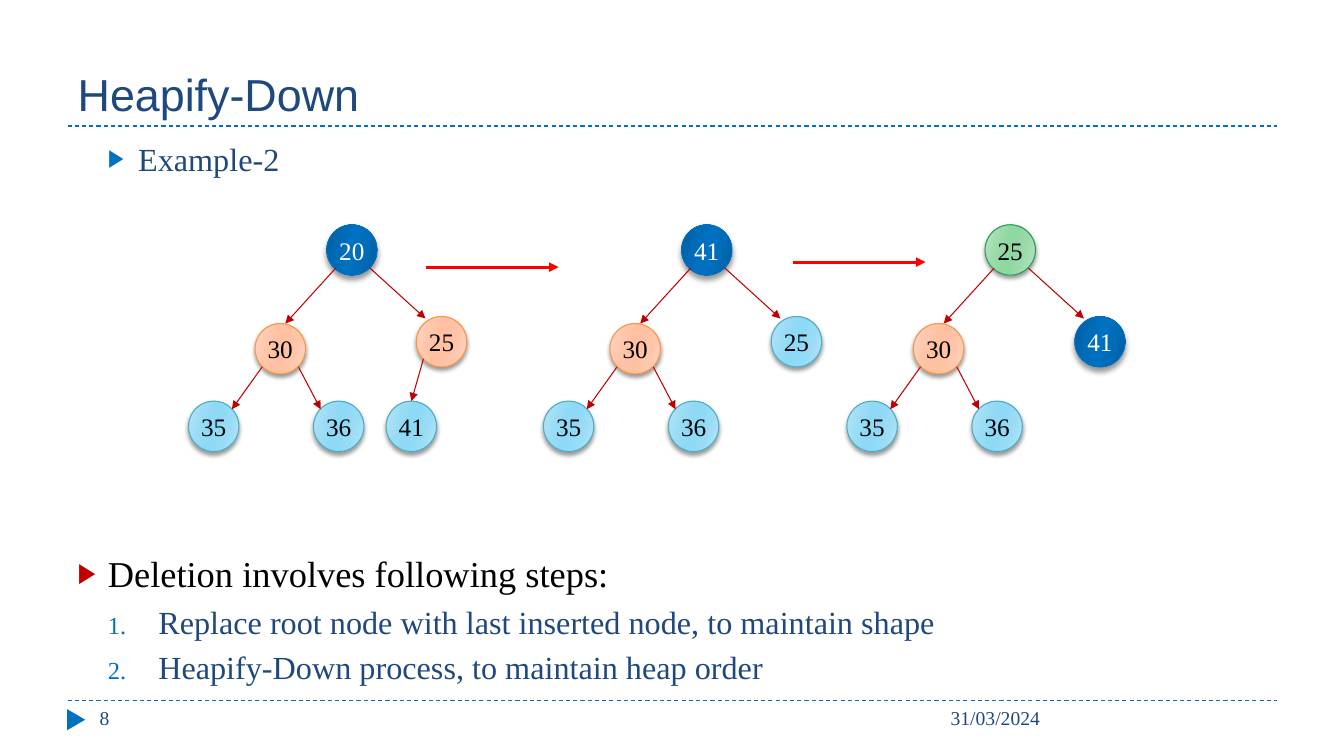
from lxml import etree
from pptx import Presentation
from pptx import util as u
from pptx.dml.color import RGBColor
from pptx.enum import dml, shapes, text
from pptx.oxml import parse_xml
from pptx.oxml.ns import nsdecls, qn

BLUE = RGBColor(0x00, 0x70, 0xC0)
NAVY = RGBColor(0x1F, 0x49, 0x7D)
DARK_RED = RGBColor(0xC0, 0x00, 0x00)
RED = RGBColor(0xFF, 0x00, 0x00)
BLACK = RGBColor(0x00, 0x00, 0x00)
WHITE = RGBColor(0xFF, 0xFF, 0xFF)
CYAN = RGBColor(0x4B, 0xAC, 0xC6)
ORANGE = RGBColor(0xF7, 0x96, 0x46)
GREEN = RGBColor(0x27, 0x9D, 0x57)

SERIF = "Times New Roman"
NODE_SIZE = 0.5
GRADIENT_STOPS = (0, 30, 45, 55, 73, 100)

# Outline, text colour, gradient from edge to middle, shadow blur and distance in points
NODE_STYLES = {
    "blue": (BLUE, WHITE, ("005C9D", "006BB7", "0070C0"), 4, 3.4),
    "cyan": (CYAN, BLACK, ("B9E5F7", "99DCF6", "8DD9F6"), 3, 2),
    "orange": (ORANGE, BLACK, ("FFD7C5", "FFC6AA", "FFC1A1"), 3, 2),
    "green": (GREEN, BLACK, ("BBE4C5", "9BDBAB", "8FD8A1"), 3, 2),
}

# Tree slots in level order: node offset from the root, then the edge from its parent
TREE_SLOTS = (
    ((0, 0), None),
    ((-0.71, 0.98), ((0.09, 0.43), (-0.41, 0.98))),
    ((0.89, 0.91), ((0.43, 0.43), (0.98, 0.93))),
    ((-1.37, 1.75), ((-0.64, 1.41), (-0.94, 1.83))),
    ((-0.13, 1.75), ((-0.28, 1.41), (-0.06, 1.83))),
    ((0.59, 1.75), ((0.96, 1.33), (0.84, 1.75))),
)

LEAVES = [("35", "cyan"), ("36", "cyan")]
TREES = (
    (3.24, [("20", "blue"), ("30", "orange"), ("25", "orange"), *LEAVES, ("41", "cyan")]),
    (6.76, [("41", "blue"), ("30", "orange"), ("25", "cyan"), *LEAVES]),
    (9.77, [("25", "green"), ("30", "orange"), ("41", "blue"), *LEAVES]),
)
TREE_TOP = 2.23
STEP_ARROWS = ((4.23, 2.65), (7.87, 2.6))
STEP_ARROW_LENGTH = 1.31


def inches(values):
    return [u.Inches(value) for value in values]


def place(shape, box):
    shape.left, shape.top, shape.width, shape.height = inches(box)


def write(para, words, size, color, font=SERIF):
    span = para.add_run()
    span.text = words
    span.font.name, span.font.size = font, u.Pt(size)
    span.font.color.rgb = color


def add_line(page, start, end, color, width, arrow=True):
    line = page.shapes.add_connector(
        shapes.MSO_CONNECTOR.STRAIGHT, *inches(start), *inches(end))
    line.line.color.rgb = color
    line.line.width = u.Pt(width)
    if arrow:
        etree.SubElement(line.line._get_or_add_ln(), qn("a:tailEnd"), type="triangle")
    else:
        line.line.dash_style = dml.MSO_LINE.DASH
    etree.SubElement(line._element.spPr, qn("a:effectLst"))


def add_node(page, left, top, label, style):
    outline, ink, tones, blur, distance = NODE_STYLES[style]
    node = page.shapes.add_shape(
        shapes.MSO_SHAPE.OVAL, *inches((left, top, NODE_SIZE, NODE_SIZE)))
    stops = "".join(
        f'<a:gs pos="{stop * 1000}"><a:srgbClr val="{tone}"/></a:gs>'
        for stop, tone in zip(GRADIENT_STOPS, tones + tones[::-1]))
    properties = node._element.spPr
    properties.find(qn("a:prstGeom")).addnext(parse_xml(
        f'<a:gradFill {nsdecls("a")} rotWithShape="1"><a:gsLst>{stops}</a:gsLst>'
        '<a:lin ang="960000" scaled="0"/></a:gradFill>'))
    node.line.color.rgb = outline
    node.line.width = u.Pt(0.75)
    node.shadow.inherit = False
    properties.find(qn("a:effectLst")).append(parse_xml(
        f'<a:outerShdw {nsdecls("a")} blurRad="{u.Pt(blur)}" dist="{u.Pt(distance)}" '
        'dir="5400000" rotWithShape="0"><a:srgbClr val="000000">'
        '<a:alpha val="40000"/></a:srgbClr></a:outerShdw>'))
    frame = node.text_frame
    frame.margin_left = frame.margin_right = 0
    frame.vertical_anchor = text.MSO_ANCHOR.MIDDLE
    frame.paragraphs[0].alignment = text.PP_ALIGN.CENTER
    write(frame.paragraphs[0], label, 18, ink)


def add_tree(page, left, top, nodes):
    """Draw a heap whose root has its corner at (left, top); nodes are in level order."""
    for (label, style), ((dx, dy), edge) in zip(nodes, TREE_SLOTS):
        add_node(page, left + dx, top + dy, label, style)
        if edge:
            start, end = [(left + x, top + y) for x, y in edge]
            add_line(page, start, end, DARK_RED, 0.75)


def add_bullet(para, color, margin, indent, numbered=False):
    properties = para._p.get_or_add_pPr()
    properties.set("marL", str(u.Inches(margin)))
    properties.set("indent", str(u.Inches(indent)))
    etree.SubElement(etree.SubElement(properties, qn("a:buClr")), qn("a:srgbClr"), val=str(color))
    etree.SubElement(properties, qn("a:buSzPct"), val="76000")
    if numbered:
        etree.SubElement(properties, qn("a:buFont"), typeface=SERIF)
        etree.SubElement(properties, qn("a:buAutoNum"), type="arabicPeriod")
    else:
        etree.SubElement(properties, qn("a:buFont"), typeface="Arial")
        etree.SubElement(properties, qn("a:buChar"), char="▶")


def fill_title(title, box):
    place(title, box)
    frame = title.text_frame
    frame.auto_size = text.MSO_AUTO_SIZE.NONE
    frame.vertical_anchor = text.MSO_ANCHOR.BOTTOM
    frame.paragraphs[0].alignment = text.PP_ALIGN.LEFT
    write(frame.paragraphs[0], "Heapify-Down", 32, NAVY, "Arial")


def fill_body(body, box):
    """Write the example heading, leave room for the trees, then list the steps."""
    place(body, box)
    frame = body.text_frame
    frame.auto_size = text.MSO_AUTO_SIZE.NONE
    frame.vertical_anchor = text.MSO_ANCHOR.TOP
    # words, level, size, colour, space before, bullet colour, margin, indent, numbered
    items = (
        ("Example-2", 1, 23, NAVY, 5, BLUE, 0.6, -0.3, False),
        ("Deletion involves following steps:", 0, 26, BLACK, 267, DARK_RED, 0.3, -0.3, False),
        ("Replace root node with last inserted node, to maintain shape",
         1, 23, NAVY, 5, BLUE, 0.8, -0.5, True),
        ("Heapify-Down process, to maintain heap order",
         1, 23, NAVY, 5, BLUE, 0.8, -0.5, True),
    )
    for index, (words, level, size, color, before, *bullet) in enumerate(items):
        para = frame.add_paragraph() if index else frame.paragraphs[0]
        para.level = level
        para.space_before = u.Pt(before)
        add_bullet(para, *bullet)
        write(para, words, size, color)


def add_footer(page, box):
    left, top, width, height = box
    add_line(page, (left, top), (left + width, top), BLUE, 0.75, arrow=False)
    marker = page.shapes.add_shape(
        shapes.MSO_SHAPE.ISOSCELES_TRIANGLE, *inches((left - 0.02, top + 0.1, 0.21, 0.18)))
    marker.rotation = 90
    marker.fill.solid()
    marker.fill.fore_color.rgb = BLUE
    marker.line.fill.background()
    marker.shadow.inherit = False
    for words, offset, share in (("31/03/2024", 8.66, 3.34), ("8", 0.22, 2.89)):
        label = page.shapes.add_textbox(*inches((left + offset, top, share, height)))
        label.text_frame.word_wrap = True
        write(label.text_frame.paragraphs[0], words, 14, NAVY)


def build_heap_slide(deck):
    page = deck.slides.add_slide(deck.slide_layouts[1])
    left, width = 0.67, 12
    fill_title(page.shapes.title, (left, 0.17, width, 1.08))
    add_line(page, (left, 1.25), (left + width, 1.25), BLUE, 0.75, arrow=False)
    fill_body(page.placeholders[1], (left, 1.33, width, 5.4))
    add_footer(page, (left, 6.95, width, 0.4))
    for root_left, nodes in TREES:
        add_tree(page, root_left, TREE_TOP, nodes)
    for x, y in STEP_ARROWS:
        add_line(page, (x, y), (x + STEP_ARROW_LENGTH, y), RED, 2.25)


def main():
    deck = Presentation()
    deck.slide_width, deck.slide_height = inches((13.33, 7.5))
    build_heap_slide(deck)
    deck.save("out.pptx")


if __name__ == "__main__":
    main()
